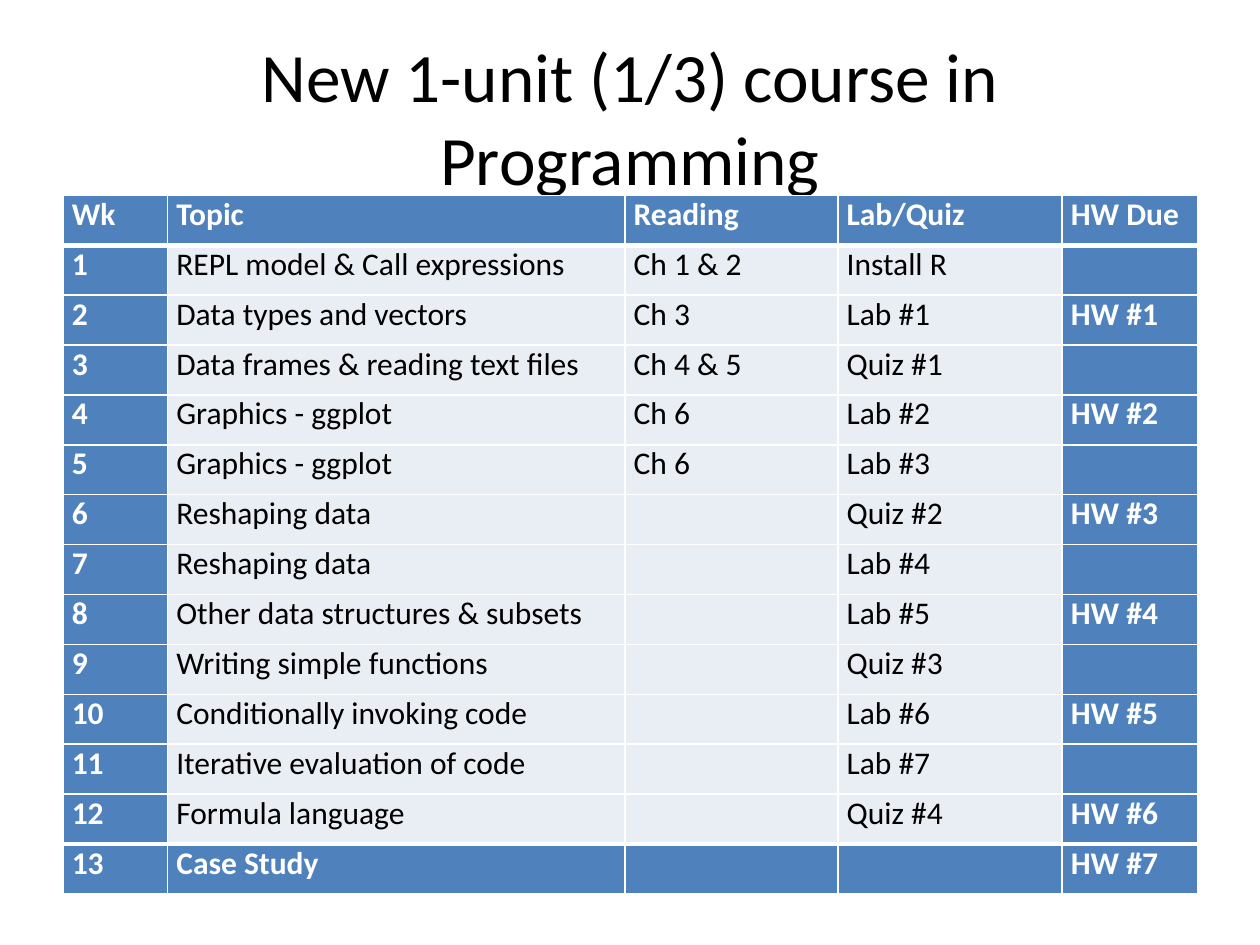
from dataclasses import astuple, dataclass

from lxml.etree import SubElement
from pptx import Presentation
from pptx.dml.color import RGBColor
from pptx.enum.text import MSO_ANCHOR, MSO_AUTO_SIZE, PP_ALIGN
from pptx.oxml.ns import qn
from pptx.util import Inches, Pt

COLORS = {"accent": "4F81BD", "body": "E9EDF4", "light": "FFFFFF", "dark": "000000"}
FONT = "Calibri"
COLUMN_WIDTHS = (0.83, 3.63, 1.69, 1.78, 1.08)
THIN, THICK = 1, 3


@dataclass
class Week:
    number: str
    topic: str
    reading: str = ""
    activity: str = ""
    homework: str = ""


SCHEDULE = [
    Week("Wk", "Topic", "Reading", "Lab/Quiz", "HW Due"),
    Week("1", "REPL model & Call expressions", "Ch 1 & 2", "Install R"),
    Week("2", "Data types and vectors", "Ch 3", "Lab #1", "HW #1"),
    Week("3", "Data frames & reading text files", "Ch 4 & 5", "Quiz #1"),
    Week("4", "Graphics - ggplot", "Ch 6", "Lab #2", "HW #2"),
    Week("5", "Graphics - ggplot", "Ch 6", "Lab #3"),
    Week("6", "Reshaping data", "", "Quiz #2", "HW #3"),
    Week("7", "Reshaping data", "", "Lab #4"),
    Week("8", "Other data structures & subsets", "", "Lab #5", "HW #4"),
    Week("9", "Writing simple functions", "", "Quiz #3"),
    Week("10", "Conditionally invoking code", "", "Lab #6", "HW #5"),
    Week("11", "Iterative evaluation of code", "", "Lab #7"),
    Week("12", "Formula language", "", "Quiz #4", "HW #6"),
    Week("13", "Case Study", homework="HW #7"),
]


def color(name: str) -> RGBColor:
    return RGBColor.from_string(COLORS[name])


def add_title(page, text: str) -> None:
    box = page.shapes.title
    box.left, box.top, box.width, box.height = map(Inches, (0.5, 0.3, 9, 1.25))
    frame = box.text_frame
    frame.text = text
    frame.auto_size = MSO_AUTO_SIZE.NONE
    frame.vertical_anchor = MSO_ANCHOR.MIDDLE
    paragraph = frame.paragraphs[0]
    paragraph.alignment = PP_ALIGN.CENTER
    format_font(paragraph.runs[0].font, 39.6, "dark")


def format_font(font, size: float, color_name: str, bold: bool = False) -> None:
    font.name = FONT
    font.size = Pt(size)
    font.bold = bold
    font.color.rgb = color(color_name)


def set_borders(cell, top: int, bottom: int) -> None:
    properties = cell._tc.get_or_add_tcPr()
    for side, width in (("L", THIN), ("R", THIN), ("T", top), ("B", bottom)):
        line = SubElement(properties, qn(f"a:ln{side}"), w=str(Pt(width)))
        fill = SubElement(line, qn("a:solidFill"))
        SubElement(fill, qn("a:srgbClr"), val=COLORS["light"])


def fill_cell(cell, text: str, emphasized: bool) -> None:
    cell.fill.solid()
    cell.fill.fore_color.rgb = color("accent" if emphasized else "body")
    cell.margin_left = cell.margin_right = Inches(0.07)
    cell.margin_top = cell.margin_bottom = 0
    cell.text_frame.text = text
    paragraph = cell.text_frame.paragraphs[0]
    paragraph.space_after = Pt(1.8)
    format_font(paragraph.font, 18, "light" if emphasized else "dark", emphasized)
    for span in paragraph.runs:
        format_font(span.font, 18, "light" if emphasized else "dark", emphasized)


def add_schedule(page, weeks: list[Week]) -> None:
    last_row, last_column = len(weeks) - 1, len(COLUMN_WIDTHS) - 1
    table = page.shapes.add_table(
        len(weeks), len(COLUMN_WIDTHS), Inches(0.5), Inches(1.55), Inches(9), Inches(5.55)
    ).table
    for column, width in zip(table.columns, COLUMN_WIDTHS):
        column.width = Inches(width)
    for row, week in enumerate(weeks):
        top = THICK if row in (1, last_row) else THIN
        bottom = THICK if row in (0, last_row - 1) else THIN
        for column, text in enumerate(astuple(week)):
            cell = table.cell(row, column)
            set_borders(cell, top, bottom)
            fill_cell(cell, text, row in (0, last_row) or column in (0, last_column))


def main() -> None:
    deck = Presentation()
    deck.slide_width, deck.slide_height = Inches(10), Inches(7.5)
    page = deck.slides.add_slide(deck.slide_layouts[5])
    add_title(page, "New 1-unit (1/3) course in Programming")
    add_schedule(page, SCHEDULE)
    deck.save("out.pptx")


if __name__ == "__main__":
    main()
